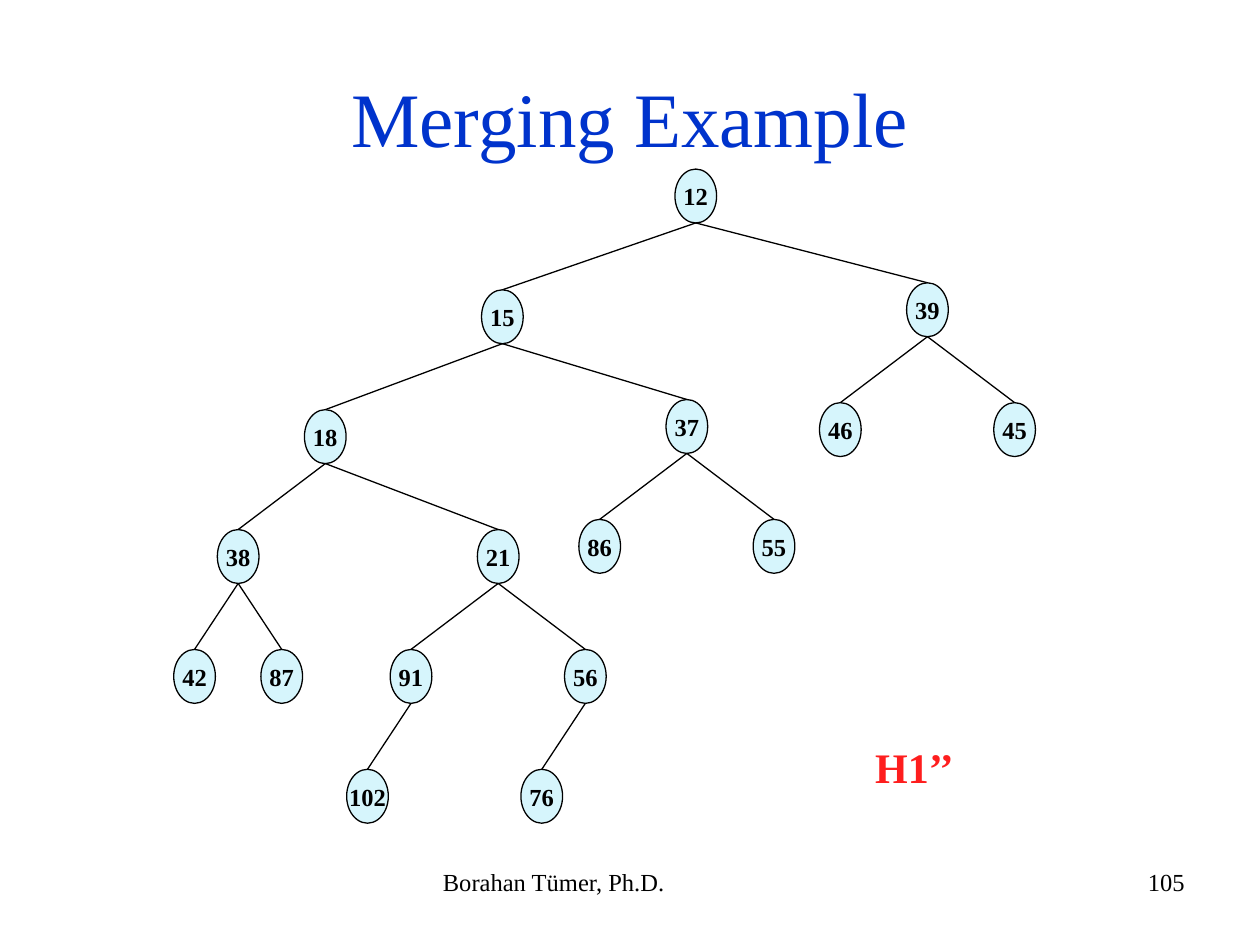
import dataclasses

import pptx
import pptx.dml.color
import pptx.enum.shapes
import pptx.enum.text
import pptx.oxml.ns
import pptx.util
from lxml import etree

Pt = pptx.util.Pt
Align = pptx.enum.text.PP_ALIGN
Anchor = pptx.enum.text.MSO_ANCHOR

BLACK = pptx.dml.color.RGBColor(0x00, 0x00, 0x00)
TITLE_BLUE = pptx.dml.color.RGBColor(0x00, 0x33, 0xCC)
NODE_FILL = pptx.dml.color.RGBColor(0xD6, 0xF5, 0xFC)
LABEL_RED = pptx.dml.color.RGBColor(0xFE, 0x1E, 0x1E)

FONT = "Times New Roman"
NODE_WIDTH = 23.8
NODE_HEIGHT = 30.8
LEVEL = 68.5
SPREAD = 49.8
NARROW = SPREAD / 2


@dataclasses.dataclass
class Node:
    """A heap node, placed by its offset from its parent."""

    key: int
    across: float = 0
    down: float = LEVEL
    children: tuple = ()


HEAP = Node(12, 0, 0, (
    Node(15, -110.5, 69, (
        Node(18, -101.2, LEVEL, (
            Node(38, -SPREAD, LEVEL, (Node(42, -NARROW), Node(87, NARROW))),
            Node(21, 98.8, LEVEL, (
                Node(91, -SPREAD, LEVEL, (Node(102, -NARROW),)),
                Node(56, SPREAD, LEVEL, (Node(76, -NARROW),)),
            )),
        )),
        Node(37, 105.4, 62.7, (Node(86, -SPREAD), Node(55, SPREAD))),
    )),
    Node(39, 132.4, 65, (Node(46, -SPREAD), Node(45, SPREAD))),
))


def set_text(shape, text, size, color, alignment, anchor, bold=False):
    """Write one formatted paragraph into a shape."""
    frame = shape.text_frame
    frame.text = text
    frame.vertical_anchor = anchor
    paragraph = frame.paragraphs[0]
    paragraph.alignment = alignment
    font = paragraph.runs[0].font
    font.name = FONT
    font.size = Pt(size)
    font.bold = bold
    font.color.rgb = color


def add_title(slide, left, top, width, height):
    """Move and format the title placeholder."""
    title = slide.shapes.title
    title.left, title.top = Pt(left), Pt(top)
    title.width, title.height = Pt(width), Pt(height)
    set_text(title, "Merging Example", 44, TITLE_BLUE, Align.CENTER, Anchor.MIDDLE)


def add_label(slide, box, text, size, color, alignment, bold=False):
    """Add a wrapped text box in the given box."""
    label = slide.shapes.add_textbox(*map(Pt, box))
    label.text_frame.word_wrap = True
    set_text(label, text, size, color, alignment, Anchor.TOP, bold)


def add_edge(slide, start, end):
    """Draw a thin black line between two points."""
    edge = slide.shapes.add_connector(
        pptx.enum.shapes.MSO_CONNECTOR.STRAIGHT, *map(Pt, start + end))
    edge.line.color.rgb = BLACK
    edge.line.width = Pt(0.75)
    etree.SubElement(edge._element.spPr, pptx.oxml.ns.qn("a:effectLst"))


def add_heap(slide, node, center, top):
    """Draw a node with its top centre at the given point, then its subtrees."""
    ellipse = slide.shapes.add_shape(
        pptx.enum.shapes.MSO_SHAPE.OVAL, Pt(center - NODE_WIDTH / 2), Pt(top),
        Pt(NODE_WIDTH), Pt(NODE_HEIGHT))
    ellipse.shadow.inherit = False
    ellipse.fill.solid()
    ellipse.fill.fore_color.rgb = NODE_FILL
    ellipse.line.color.rgb = BLACK
    ellipse.line.width = Pt(0.75)
    ellipse.text_frame.word_wrap = False
    set_text(ellipse, str(node.key), 14, BLACK, Align.CENTER, Anchor.MIDDLE, bold=True)
    for child in node.children:
        child_center, child_top = center + child.across, top + child.down
        add_edge(slide, (center, top + NODE_HEIGHT), (child_center, child_top))
        add_heap(slide, child, child_center, child_top)


def add_footer(slide, top, height):
    """Add the author and the slide number at the foot."""
    add_label(slide, (246, top, 228, height), "Borahan Tümer, Ph.D.", 14, BLACK, Align.LEFT)
    add_label(slide, (516, top, 168, height), "105", 14, BLACK, Align.RIGHT)


def main():
    """Build and save the slide."""
    presentation = pptx.Presentation()
    presentation.slide_width, presentation.slide_height = Pt(720), Pt(540)
    slide = presentation.slides.add_slide(presentation.slide_layouts[5])
    add_footer(slide, 492, 37.5)
    add_title(slide, 36, 21.6, 648, 90)
    add_heap(slide, HEAP, 397.6, 96.6)
    add_label(slide, (493, 420, 80.6, 36), "H1’’", 24, LABEL_RED, Align.LEFT, bold=True)
    presentation.save("out.pptx")


if __name__ == "__main__":
    main()
